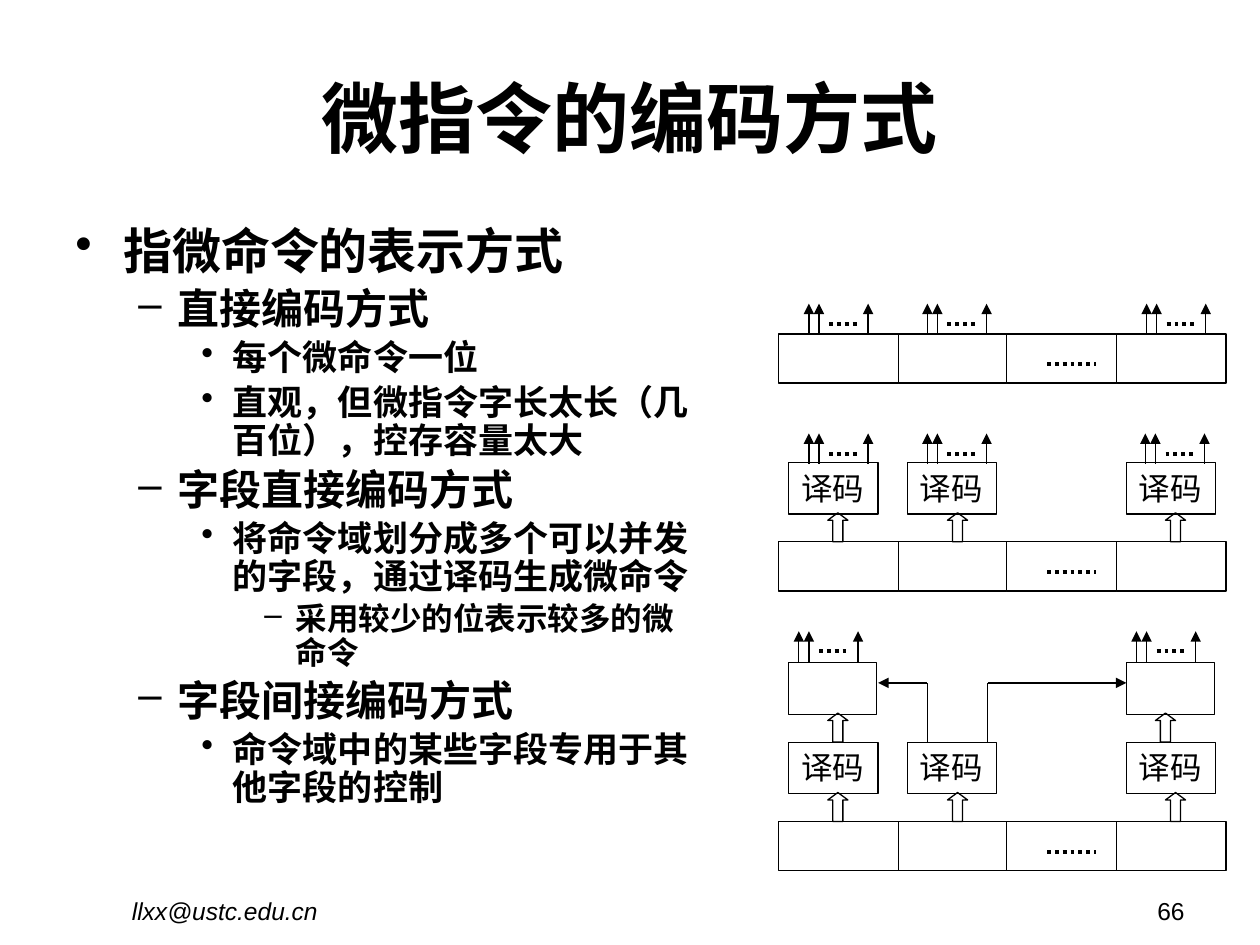
from dataclasses import dataclass
from typing import Any

import pptx
import pptx.dml.color
import pptx.enum.dml
import pptx.enum.shapes
import pptx.enum.text
import pptx.oxml
import pptx.oxml.ns
import pptx.util

Inches = pptx.util.Inches
Pt = pptx.util.Pt
SHAPE = pptx.enum.shapes.MSO_SHAPE
ALIGN = pptx.enum.text.PP_ALIGN
ANCHOR = pptx.enum.text.MSO_ANCHOR
COLORS = {"ink": "000000", "paper": "FFFFFF"}
FONT = "Arial"


@dataclass(frozen=True)
class Level:
    margin: float
    hang: float
    bullet: str
    size: int


@dataclass(frozen=True)
class Caption:
    text: str
    box: tuple[float, float, float, float]
    align: Any
    font: dict[str, Any]
    anchor: Any = ANCHOR.TOP


@dataclass(frozen=True)
class Scheme:
    """One encoding diagram: its field row, decoders and output signals."""
    field_top: float
    signal_top: float
    signal_lefts: tuple[float, ...]
    decoder_top: float | None = None


LEVELS = (
    Level(0.38, 0.38, "•", 28),
    Level(0.81, 0.31, "–", 24),
    Level(1.25, 0.25, "•", 20),
    Level(1.75, 0.25, "–", 18),
)
OUTLINE = (
    (0, "指微命令的表示方式"),
    (1, "直接编码方式"),
    (2, "每个微命令一位"),
    (2, "直观，但微指令字长太长（几百位），控存容量太大"),
    (1, "字段直接编码方式"),
    (2, "将命令域划分成多个可以并发的字段，通过译码生成微命令"),
    (3, "采用较少的位表示较多的微命令"),
    (1, "字段间接编码方式"),
    (2, "命令域中的某些字段专用于其他字段的控制"),
)
CAPTIONS = (
    Caption("微指令的编码方式", (0.5, 0.3, 9, 1.25), ALIGN.CENTER,
            {"size": Pt(44), "bold": True}, ANCHOR.MIDDLE),
    Caption("llxx@ustc.edu.cn", (0.2, 7.06, 3.17, 0.29), ALIGN.CENTER,
            {"size": Pt(14), "italic": True}),
    Caption("66", (7.17, 7.06, 2.33, 0.29), ALIGN.RIGHT, {"size": Pt(14)}),
)
DIRECT = Scheme(2.65, 2.41, (6.42, 7.36, 9.1))
FIELD_DIRECT = Scheme(4.3, 3.44, (6.42, 7.36, 9.09), 3.67)
FIELD_INDIRECT = Scheme(6.52, 5.01, (6.34, 9.02), 5.89)
FIELD_EDGES = (6.18, 7.13, 7.99, 8.86, 9.73)
DECODER_LEFTS = (6.26, 7.2, 8.94)
DECODER_ARROWS = (6.57, 7.52, 9.25)


def rgb(name: str) -> pptx.dml.color.RGBColor:
    return pptx.dml.color.RGBColor.from_string(COLORS[name])


def apply_format(target: Any, values: dict[str, Any]) -> None:
    for name, value in values.items():
        setattr(target, name, value)


def style_font(font: Any, values: dict[str, Any]) -> None:
    apply_format(font, {"name": FONT, **values})
    font.color.rgb = rgb("ink")


def add_frame(slide: Any, box: tuple[float, ...], anchor: Any) -> Any:
    frame = slide.shapes.add_textbox(*map(Inches, box)).text_frame
    apply_format(frame, {"word_wrap": True, "vertical_anchor": anchor})
    return frame


def add_caption(slide: Any, caption: Caption) -> None:
    paragraph = add_frame(slide, caption.box, caption.anchor).paragraphs[0]
    apply_format(paragraph, {"text": caption.text, "alignment": caption.align})
    style_font(paragraph.runs[0].font, caption.font)


def add_outline(slide: Any) -> None:
    frame = add_frame(slide, (0.5, 1.75, 5.13, 5.07), ANCHOR.TOP)
    for index, (depth, text) in enumerate(OUTLINE):
        level = LEVELS[depth]
        paragraph = frame.add_paragraph() if index else frame.paragraphs[0]
        apply_format(paragraph, {"text": text, "level": depth, "line_spacing": 0.9})
        if index:
            paragraph.space_before = Pt(level.size * 0.2)
        properties = paragraph._p.get_or_add_pPr()
        properties.set("marL", str(Inches(level.margin)))
        properties.set("indent", str(-Inches(level.hang)))
        bullet = pptx.oxml.parse_xml(
            f'<a:buChar {pptx.oxml.ns.nsdecls("a")} char="{level.bullet}"/>')
        properties.append(bullet)
        style_font(paragraph.runs[0].font, {"size": Pt(level.size), "bold": True})


def add_block(group: Any, box: tuple[float, ...], kind: Any = SHAPE.RECTANGLE) -> Any:
    block = group.shapes.add_shape(kind, *map(Inches, box))
    block.shadow.inherit = False
    block.fill.background()
    block.line.color.rgb = rgb("ink")
    block.line.width = Pt(0.75)
    return block


def add_line(group: Any, start: tuple[float, float], end: tuple[float, float],
             arrow: bool = False, dotted: bool = False) -> None:
    line = group.shapes.add_connector(
        pptx.enum.shapes.MSO_CONNECTOR.STRAIGHT, *map(Inches, (*start, *end)))
    line.line.color.rgb = rgb("ink")
    line.line.width = Pt(2.25 if dotted else 0.75)
    if dotted:
        line.line.dash_style = pptx.enum.dml.MSO_LINE.ROUND_DOT
    declared = pptx.oxml.ns.nsdecls("a")
    if arrow:
        line.line._get_or_add_ln().append(
            pptx.oxml.parse_xml(f'<a:tailEnd {declared} type="triangle"/>'))
    line._element.spPr.append(pptx.oxml.parse_xml(f"<a:effectLst {declared}/>"))


def add_up_arrow(group: Any, left: float, top: float) -> None:
    arrow = add_block(group, (left, top, 0.16, 0.23), SHAPE.UP_ARROW)
    arrow.adjustments[0] = 0.5
    arrow.adjustments[1] = 0.371


def add_decoder(group: Any, left: float, top: float) -> None:
    frame = add_block(group, (left, top, 0.71, 0.41)).text_frame
    apply_format(frame, {"word_wrap": False, "vertical_anchor": ANCHOR.TOP,
                         "auto_size": pptx.enum.text.MSO_AUTO_SIZE.SHAPE_TO_FIT_TEXT})
    label = frame.paragraphs[0]
    apply_format(label, {"text": "译码", "alignment": ALIGN.LEFT})
    style_font(label.runs[0].font, {"size": Pt(18)})


def add_signals(group: Any, left: float, top: float) -> None:
    for offset in (0, 0.08, 0.47):
        add_line(group, (left + offset, top + 0.24), (left + offset, top), arrow=True)
    add_line(group, (left + 0.16, top + 0.16), (left + 0.39, top + 0.16), dotted=True)


def add_scheme(slide: Any, scheme: Scheme) -> Any:
    group = slide.shapes.add_group_shape()
    for left, right in zip(FIELD_EDGES, FIELD_EDGES[1:]):
        add_block(group, (left, scheme.field_top, right - left, 0.39))
    dots_top = scheme.field_top + 0.24
    add_line(group, (8.31, dots_top), (8.7, dots_top), dotted=True)
    if scheme.decoder_top is not None:
        for left, arrow_left in zip(DECODER_LEFTS, DECODER_ARROWS):
            add_decoder(group, left, scheme.decoder_top)
            add_up_arrow(group, arrow_left, scheme.field_top - 0.23)
    for left in scheme.signal_lefts:
        add_signals(group, left, scheme.signal_top)
    return group


def add_indirect_control(group: Any) -> None:
    # Second-stage blocks fed by the outer decoders
    for left, arrow_left in ((6.26, 6.57), (8.94, 9.17)):
        add_block(group, (left, 5.26, 0.7, 0.41))
        add_up_arrow(group, arrow_left, 5.66)
    # Control paths from the middle decoder
    for start, end in ((7.36, 6.97), (7.84, 8.94)):
        add_line(group, (start, 5.89), (start, 5.42))
        add_line(group, (start, 5.42), (end, 5.42), arrow=True)


def main() -> None:
    deck = pptx.Presentation()
    apply_format(deck, {"slide_width": Inches(10), "slide_height": Inches(7.5)})
    slide = deck.slides.add_slide(deck.slide_layouts[6])
    slide.background.fill.solid()
    slide.background.fill.fore_color.rgb = rgb("paper")

    # Title, footer and outline
    for caption in CAPTIONS:
        add_caption(slide, caption)
    add_outline(slide)

    # Encoding diagrams
    add_scheme(slide, DIRECT)
    add_scheme(slide, FIELD_DIRECT)
    add_indirect_control(add_scheme(slide, FIELD_INDIRECT))
    deck.save("out.pptx")


if __name__ == "__main__":
    main()
